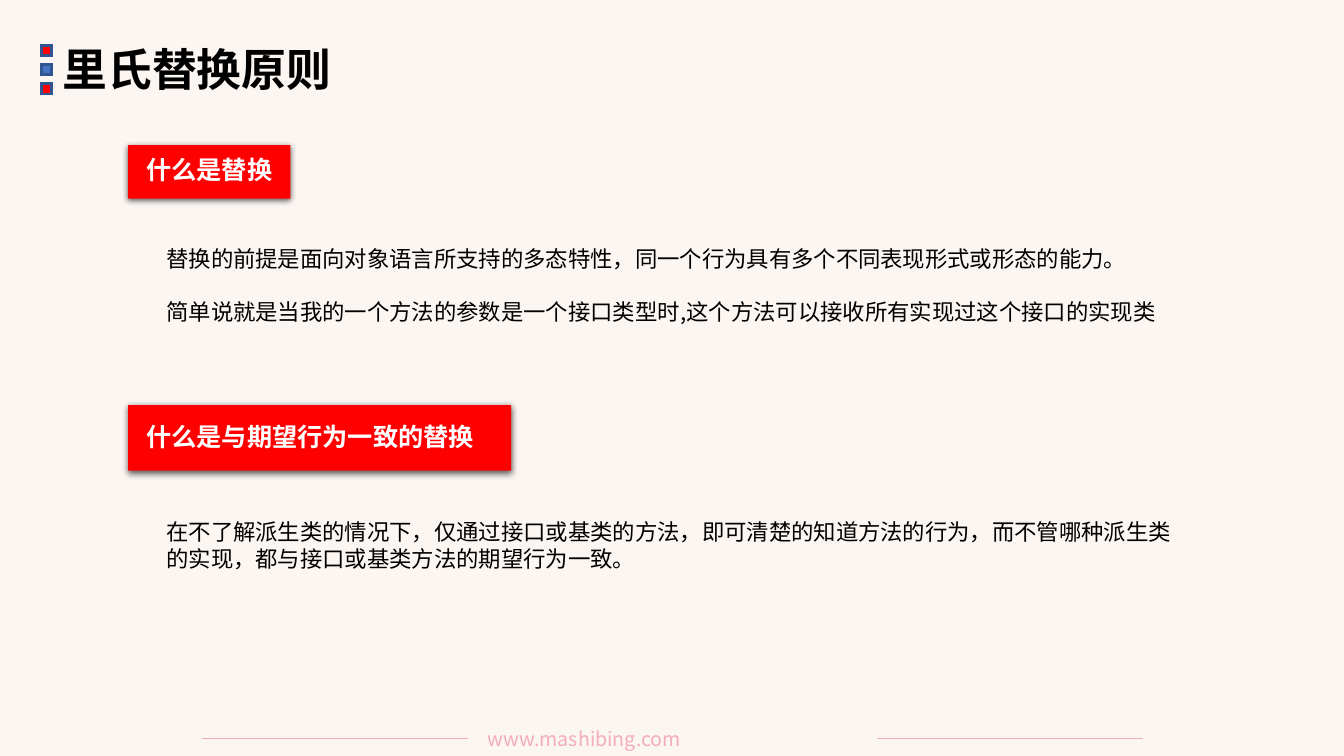
from dataclasses import dataclass

from lxml import etree
from pptx import Presentation
from pptx import util as u
from pptx.dml.color import RGBColor
from pptx.enum import shapes, text
from pptx.oxml import parse_xml
from pptx.oxml.ns import nsdecls, qn


@dataclass(frozen=True)
class Theme:
    font: str = "Noto Sans CJK SC"
    paper: str = "FCF6F3"
    ink: str = "000000"
    light: str = "FFFFFF"
    red: str = "FF0000"
    blue: str = "4472C4"
    bevel_edge: str = "325491"
    pink: str = "F4ACBA"
    title_size: int = 32
    heading_size: int = 18
    body_size: int = 16
    footer_size: int = 14


THEME = Theme()
WIDTH, HEIGHT = 13.33, 7.5
COMPARISON_LAYOUT = 4
SECTION_LEFT = 1.27
BODY_LEFT = 1.55

SECTIONS = [
    {"heading": "什么是替换", "banner": (SECTION_LEFT, 1.44, 1.61, 0.53),
     "heading_width": 1.82, "body": (BODY_LEFT, 2.38, 10.8, 0.91),
     "paragraphs": ["替换的前提是面向对象语言所支持的多态特性，同一个行为具有多个不同表现形式或形态的能力。",
                    "简单说就是当我的一个方法的参数是一个接口类型时,这个方法可以接收所有实现过这个接口的实现类"]},
    {"heading": "什么是与期望行为一致的替换", "banner": (SECTION_LEFT, 4.02, 3.8, 0.65),
     "heading_width": 3.61, "body": (BODY_LEFT, 5.09, 10.3, 0.64),
     "paragraphs": ["在不了解派生类的情况下，仅通过接口或基类的方法，即可清楚的知道方法的行为，"
                    "而不管哪种派生类的实现，都与接口或基类方法的期望行为一致。"]},
]


def color(value):
    return RGBColor.from_string(value)


def inches(box):
    return [u.Inches(length) for length in box]


def write(holder, box, paragraphs, size, ink=THEME.ink, bold=False,
          align=text.PP_ALIGN.LEFT, gap=0):
    """Move a text holder to box and fill it; gap is the points between paragraphs."""
    holder.left, holder.top, holder.width, holder.height = inches(box)
    frame = holder.text_frame
    frame.word_wrap = True
    frame.auto_size = text.MSO_AUTO_SIZE.NONE
    frame.vertical_anchor = text.MSO_ANCHOR.TOP
    frame.margin_left = frame.margin_right = u.Inches(0.1)
    frame.margin_top = frame.margin_bottom = u.Inches(0.05)
    for index, wording in enumerate(paragraphs):
        paragraph = frame.paragraphs[0] if index == 0 else frame.add_paragraph()
        paragraph.alignment = align
        paragraph.line_spacing = 1.0
        paragraph.space_before = u.Pt(gap if index else 0)
        properties = paragraph._p.get_or_add_pPr()
        properties.set("marL", "0")
        properties.set("indent", "0")
        etree.SubElement(properties, qn("a:buNone"))
        run = paragraph.add_run()
        run.text = wording
        run.font.size = u.Pt(size)
        run.font.bold = bold
        run.font.name = THEME.font
        run.font.color.rgb = color(ink)
        east_asian = etree.SubElement(run._r.get_or_add_rPr(), qn("a:ea"))
        east_asian.set("typeface", THEME.font)


def add_block(slide, kind, box, fill, edge=None):
    block = slide.shapes.add_shape(kind, *inches(box))
    block.shadow.inherit = False
    block.fill.solid()
    block.fill.fore_color.rgb = color(fill)
    if edge:
        block.line.color.rgb = color(edge)
        block.line.width = u.Pt(1)
    else:
        block.line.fill.background()
    return block


def cast_shadow(block):
    effects = block._element.spPr.find(qn("a:effectLst"))
    effects.append(parse_xml(
        f'<a:outerShdw {nsdecls("a")} blurRad="{u.Pt(4.5)}" dist="{u.Pt(1.5)}" '
        f'dir="5400000" algn="t" rotWithShape="0"><a:srgbClr val="{THEME.ink}">'
        '<a:alpha val="63000"/></a:srgbClr></a:outerShdw>'))


def add_footer(slide, box):
    """Web address between two rules of equal length."""
    left, top, width, height = box
    rule_length, rule_y = 2.64, top + height / 2
    for start in (left, left + width - rule_length):
        rule = slide.shapes.add_connector(
            shapes.MSO_CONNECTOR.STRAIGHT,
            *inches((start, rule_y, start + rule_length, rule_y)))
        rule.line.color.rgb = color(THEME.pink)
        rule.line.width = u.Pt(0.5)
        etree.SubElement(rule._element.spPr, qn("a:effectLst"))
    address_box = (left + rule_length + 0.1, top, 3.85, height)
    address = slide.shapes.add_textbox(*inches(address_box))
    write(address, address_box, ["www.mashibing.com"], THEME.footer_size,
          ink=THEME.pink, align=text.PP_ALIGN.JUSTIFY)


def add_title(slide, box):
    left, top, width, height = box
    marker = 0.12
    write(slide.shapes.title, (left + marker, top, width - marker, height),
          ["里氏替换原则"], THEME.title_size, bold=True)
    for row, fill in enumerate((THEME.red, THEME.blue, THEME.red)):
        add_block(slide, shapes.MSO_SHAPE.BEVEL,
                  (left, top + 0.08 + row * 0.19, marker, marker),
                  fill, THEME.bevel_edge)


def add_section(slide, section, heading, body):
    left, top, width, height = section["banner"]
    banner = add_block(slide, shapes.MSO_SHAPE.RECTANGLE, section["banner"], THEME.red)
    cast_shadow(banner)
    heading._element.addprevious(banner._element)
    label_height = 0.4
    label_top = top + (height - label_height) / 2 - 0.02
    write(heading, (left + 0.08, label_top, section["heading_width"], label_height),
          [section["heading"]], THEME.heading_size, ink=THEME.light, bold=True)
    write(body, section["body"], section["paragraphs"], THEME.body_size, gap=19)


def main():
    deck = Presentation()
    deck.slide_width, deck.slide_height = inches((WIDTH, HEIGHT))
    slide = deck.slides.add_slide(deck.slide_layouts[COMPARISON_LAYOUT])
    slide.background.fill.solid()
    slide.background.fill.fore_color.rgb = color(THEME.paper)
    add_footer(slide, (2, 7.16, 9.34, 0.34))
    add_title(slide, (0.4, 0.36, 5.47, 0.64))
    _, *holders = slide.placeholders
    for section, heading, body in zip(SECTIONS, holders[::2], holders[1::2]):
        add_section(slide, section, heading, body)
    deck.save("out.pptx")


if __name__ == "__main__":
    main()
